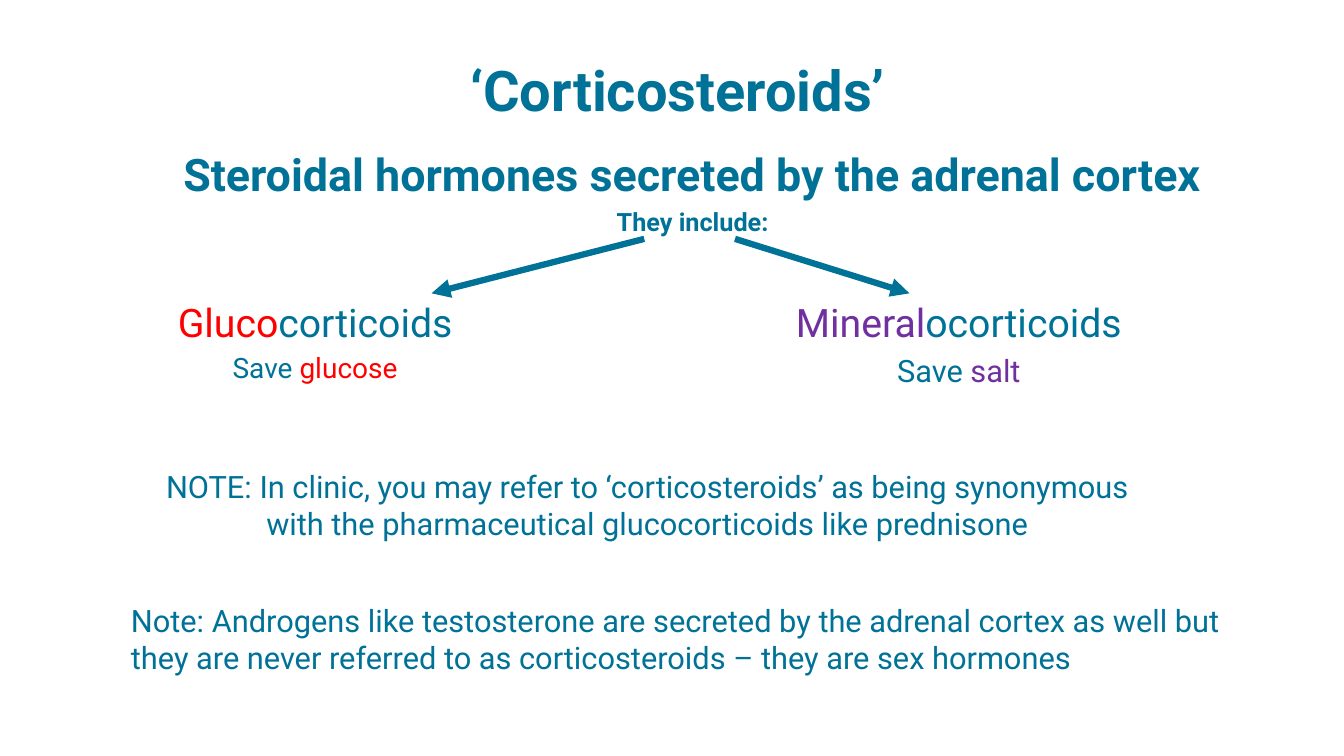
from lxml.etree import SubElement
from pptx import Presentation
from pptx.dml.color import RGBColor
from pptx.enum.shapes import MSO_CONNECTOR
from pptx.enum.text import MSO_ANCHOR, PP_ALIGN
from pptx.oxml.ns import qn
from pptx.util import Inches, Pt

TEAL = RGBColor(0x00, 0x72, 0x98)
RED = RGBColor(0xFF, 0x00, 0x00)
PURPLE = RGBColor(0x70, 0x30, 0xA0)
FONT = "Roboto"
SPACE_BEFORE_RATIO = 0.2
INDENT = 0.3
CENTER, LEFT = PP_ALIGN.CENTER, PP_ALIGN.LEFT
TOP, BOTTOM = MSO_ANCHOR.TOP, MSO_ANCHOR.BOTTOM

# box, anchor, alignment, indent, paragraphs of (size, bold, runs)
TEXTS = [
    ((0.5, 0.44, 12.44, 0.83), BOTTOM, CENTER, 0, [
        (40, True, [("‘Corticosteroids’", TEAL)]),
    ]),
    ((0.8, 1.41, 11.84, 0.56), TOP, CENTER, INDENT, [
        (32, True, [("Steroidal hormones secreted by the adrenal cortex", TEAL)]),
        (18, True, [("They include:", TEAL)]),
    ]),
    ((0.7, 2.91, 4.85, 2.73), TOP, CENTER, 0, [
        (28, False, [("Gluco", RED), ("corticoids", TEAL)]),
        (20, False, [("Save ", TEAL), ("glucose", RED)]),
    ]),
    ((7.29, 2.91, 4.14, 0.66), TOP, CENTER, INDENT, [
        (28, False, [("Mineral", PURPLE), ("ocorticoids", TEAL)]),
        (22, False, [("Save", TEAL), (" salt", PURPLE)]),
    ]),
    ((1.2, 4.59, 10.14, 1), TOP, CENTER, INDENT, [
        (22, False, [("NOTE: In clinic, you may refer to ‘corticosteroids’ as being "
                      "synonymous with the pharmaceutical glucocorticoids like "
                      "prednisone", TEAL)]),
    ]),
    ((1.2, 5.92, 11.05, 1.4), TOP, LEFT, 0, [
        (22, False, [("Note: Androgens like testosterone are secreted by the adrenal "
                      "cortex as well but they are never referred to as "
                      "corticosteroids – they are sex hormones", TEAL)]),
    ]),
]
ARROW_TOP, ARROW_BOTTOM = 2.37, 2.91
ARROWS = [(6.39, 4.28), (7.29, 9.02)]


def add_text(slide, box, anchor, alignment, indent, paragraphs):
    frame = slide.shapes.add_textbox(*map(Inches, box)).text_frame
    frame.word_wrap = True
    frame.vertical_anchor = anchor
    for index, (size, bold, runs) in enumerate(paragraphs):
        paragraph = frame.add_paragraph() if index else frame.paragraphs[0]
        paragraph.alignment = alignment
        if indent:
            paragraph._p.get_or_add_pPr().set("marL", str(Inches(indent)))
        if index:
            paragraph.space_before = Pt(size * SPACE_BEFORE_RATIO)
        for text, color in runs:
            run = paragraph.add_run()
            run.text = text
            run.font.name = FONT
            run.font.size = Pt(size)
            run.font.bold = bold
            run.font.color.rgb = color


def add_arrow(slide, start_x, end_x):
    arrow = slide.shapes.add_connector(
        MSO_CONNECTOR.STRAIGHT, Inches(start_x), Inches(ARROW_TOP),
        Inches(end_x), Inches(ARROW_BOTTOM))
    arrow.line.color.rgb = TEAL
    arrow.line.width = Pt(4.5)
    SubElement(arrow.line._get_or_add_ln(), qn("a:tailEnd"), type="triangle")
    SubElement(arrow._element.spPr, qn("a:effectLst"))


def main():
    presentation = Presentation()
    presentation.slide_width = Inches(13.33)
    presentation.slide_height = Inches(7.5)
    slide = presentation.slides.add_slide(presentation.slide_layouts[6])
    for text in TEXTS:
        add_text(slide, *text)
    for arrow in ARROWS:
        add_arrow(slide, *arrow)
    presentation.save("out.pptx")


if __name__ == "__main__":
    main()
